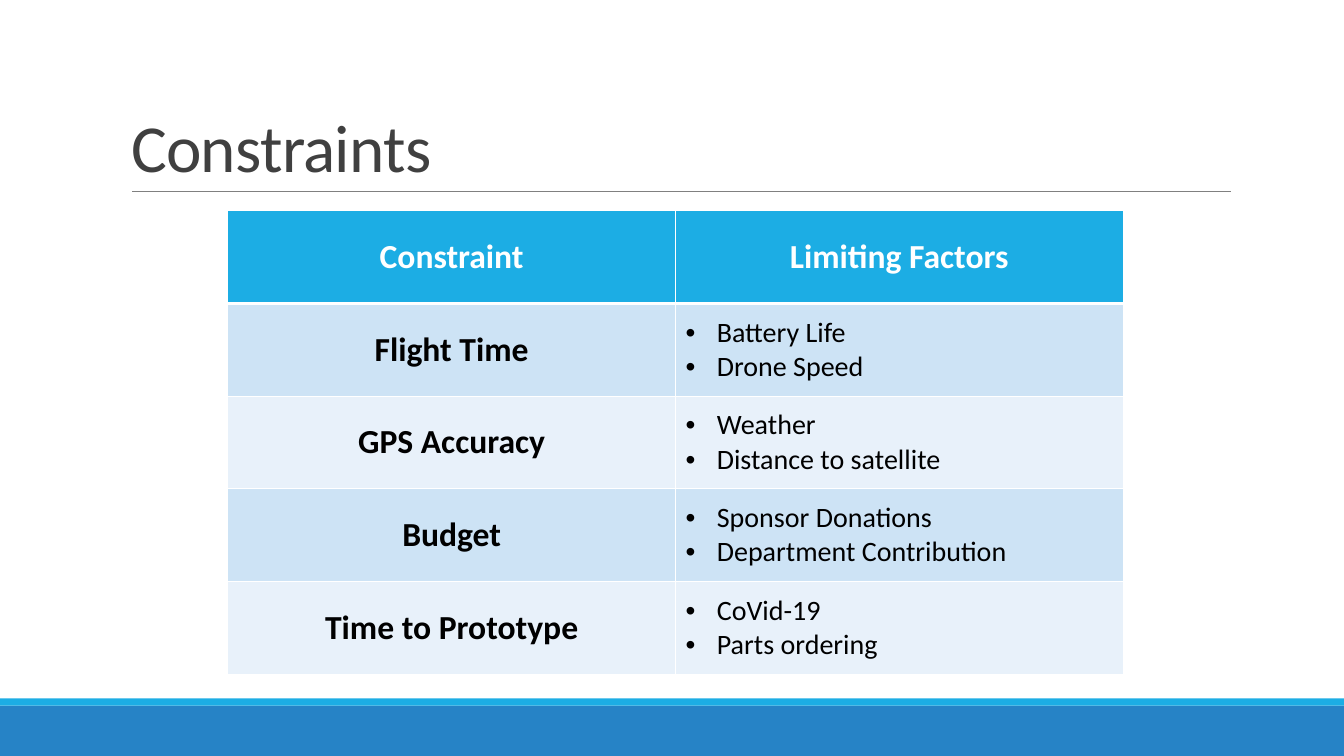
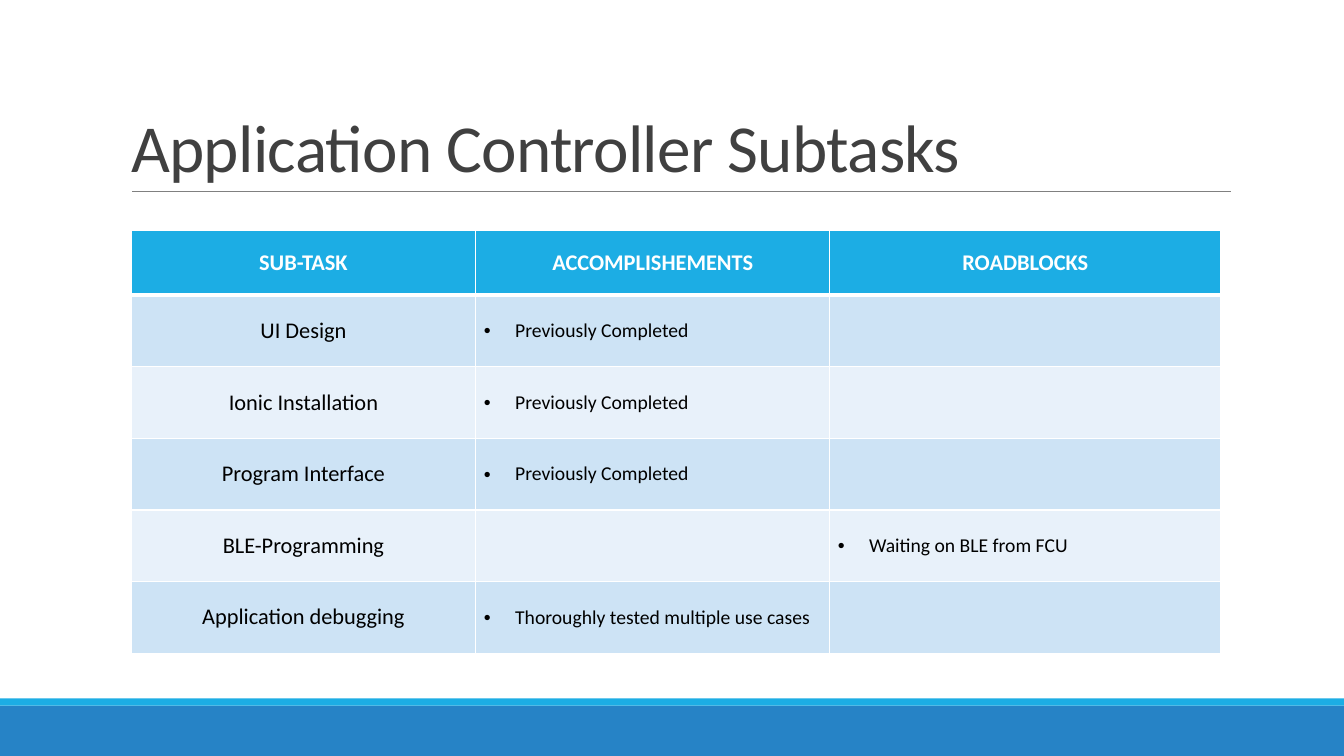
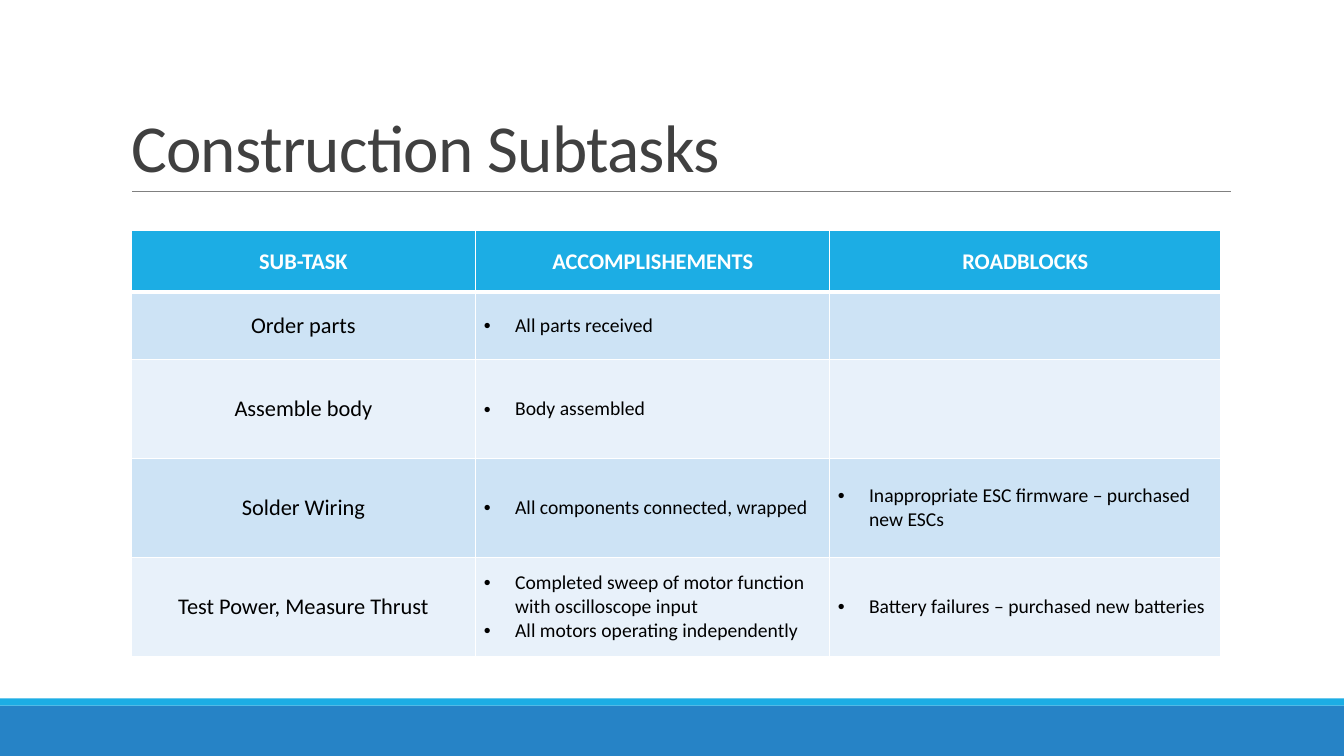
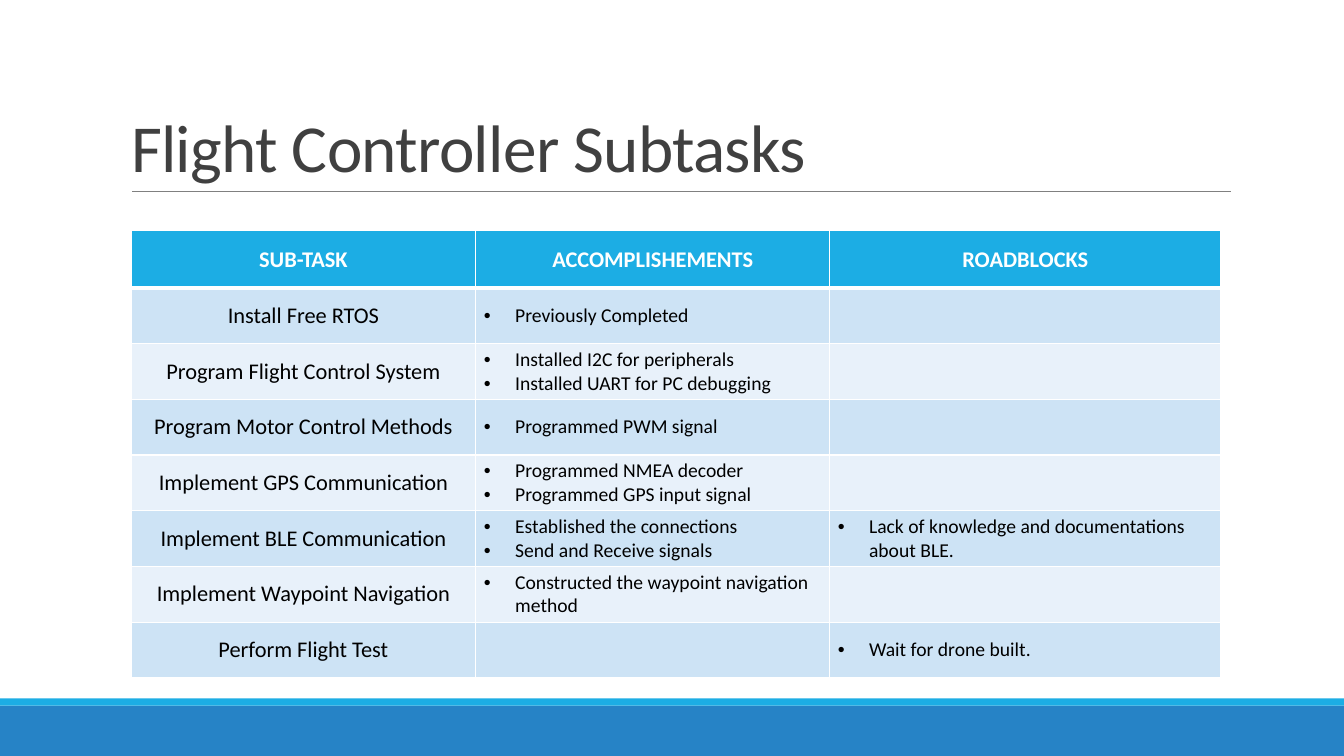
from lxml.etree import SubElement
from pptx import Presentation
from pptx.dml.color import RGBColor
from pptx.enum.shapes import MSO_CONNECTOR, MSO_SHAPE
from pptx.enum.text import MSO_ANCHOR, MSO_AUTO_SIZE, PP_ALIGN
from pptx.oxml.ns import qn
from pptx.util import Inches, Pt

COLORS = {
    "band": "2683C6",
    "accent": "1CADE4",
    "rule": "808080",
    "title": "404040",
    "white": "FFFFFF",
    "black": "000000",
    "odd": "CDE3F5",
    "even": "E8F1FA",
}
FONT = "Calibri"
WIDTH, HEIGHT = 13.33, 7.5
HEADS = ["SUB-TASK", "ACCOMPLISHEMENTS", "ROADBLOCKS"]
DONE = ["Previously Completed"]
WIDE = {"box": (1.3, 2.29), "cols": [3.42, 3.51, 3.88],
        "sizes": (16, 16, 14), "bold": False, "inset": (0.08, 0.04)}
LARGE = {"box": (2.26, 2.09), "cols": [4.44, 4.44],
         "sizes": (24, 24, 20), "bold": True, "inset": (0.1, 0.05)}

SLIDES = [
    ("Constraints", LARGE, [0.92] * 5, [
        ["Constraint", "Limiting Factors"],
        ["Flight Time", ["Battery Life", "Drone Speed"]],
        ["GPS Accuracy", ["Weather", "Distance to satellite"]],
        ["Budget", ["Sponsor Donations", "Department Contribution"]],
        ["Time to Prototype", ["CoVid-19", "Parts ordering"]],
    ]),
    ("Application Controller Subtasks", WIDE, [0.64] + [0.71] * 5, [
        HEADS,
        ["UI Design", DONE, []],
        ["Ionic Installation", DONE, []],
        ["Program Interface", DONE, []],
        ["BLE-Programming", [], ["Waiting on BLE from FCU"]],
        ["Application debugging", ["Thoroughly tested multiple use cases"], []],
    ]),
    ("Construction Subtasks", WIDE, [0.61, 0.67] + [0.98] * 3, [
        HEADS,
        ["Order parts", ["All parts received"], []],
        ["Assemble body", ["Body assembled"], []],
        ["Solder Wiring", ["All components connected, wrapped"],
         ["Inappropriate ESC firmware – purchased new ESCs"]],
        ["Test Power, Measure Thrust",
         ["Completed sweep of motor function with oscilloscope input",
          "All motors operating independently"],
         ["Battery failures – purchased new batteries"]],
    ]),
    ("Flight Controller Subtasks", WIDE, [0.57] + [0.55] * 7, [
        HEADS,
        ["Install Free RTOS", DONE, []],
        ["Program Flight Control System",
         ["Installed I2C for peripherals", "Installed UART for PC debugging"], []],
        ["Program Motor Control Methods", ["Programmed PWM signal"], []],
        ["Implement GPS Communication",
         ["Programmed NMEA decoder", "Programmed GPS input signal"], []],
        ["Implement BLE Communication",
         ["Established the connections", "Send and Receive signals"],
         ["Lack of knowledge and documentations about BLE."]],
        ["Implement Waypoint Navigation",
         ["Constructed the waypoint navigation method"], []],
        ["Perform Flight Test", [], ["Wait for drone built."]],
    ]),
]


def color(name):
    """Return the named colour."""
    return RGBColor.from_string(COLORS[name])


def write(para, text, size, tint, bold=False):
    """Add one styled run to a paragraph."""
    run = para.add_run()
    run.text = text
    run.font.name = FONT
    run.font.size = Pt(size)
    run.font.bold = bold
    run.font.color.rgb = color(tint)
    return run


def draw_band(slide, top, height, tint):
    """Draw a full-width band."""
    band = slide.shapes.add_shape(
        MSO_SHAPE.RECTANGLE, 0, Inches(top), Inches(WIDTH), Inches(height))
    band.shadow.inherit = False
    band.fill.solid()
    band.fill.fore_color.rgb = color(tint)
    band.line.fill.background()


def draw_frame(slide):
    """Draw the bottom bands and the rule under the title."""
    draw_band(slide, 7, 0.5, "band")
    draw_band(slide, 6.93, 0.07, "accent")
    rule = slide.shapes.add_connector(
        MSO_CONNECTOR.STRAIGHT, Inches(1.31), Inches(1.9), Inches(12.21), Inches(1.9))
    rule.line.color.rgb = color("rule")
    rule.line.width = Pt(0.5)
    SubElement(rule.element.spPr, qn("a:effectLst"))


def set_title(slide, text):
    """Place and fill the title placeholder."""
    title = slide.shapes.title
    title.left, title.top = Inches(1.2), Inches(0.31)
    title.width, title.height = Inches(11), Inches(1.59)
    frame = title.text_frame
    frame.word_wrap = True
    frame.auto_size = MSO_AUTO_SIZE.NONE
    frame.vertical_anchor = MSO_ANCHOR.BOTTOM
    para = frame.paragraphs[0]
    para.alignment = PP_ALIGN.LEFT
    para.line_spacing = 0.85
    run = write(para, text, 48, "title")
    run.font._element.set("spc", "-50")


def set_edges(cell, row):
    """Give a cell white borders, thicker under the header."""
    props = cell._tc.get_or_add_tcPr()
    widths = {"L": 1, "R": 1, "T": 3 if row == 1 else 1, "B": 3 if row == 0 else 1}
    for side, width in widths.items():
        line = SubElement(props, qn(f"a:ln{side}"), w=str(Pt(width)))
        fill = SubElement(line, qn("a:solidFill"))
        SubElement(fill, qn("a:srgbClr"), val=COLORS["white"])


def add_bullet(para):
    """Give a paragraph a hanging bullet."""
    props = para._p.get_or_add_pPr()
    props.set("marL", str(Inches(0.31)))
    props.set("indent", str(-Inches(0.31)))
    SubElement(props, qn("a:buFont"), typeface="Arial")
    SubElement(props, qn("a:buChar"), char="•")


def fill_cell(cell, row, value, style):
    """Format one cell and write a label or a bullet list."""
    set_edges(cell, row)
    cell.fill.solid()
    shade = "accent" if row == 0 else "odd" if row % 2 else "even"
    cell.fill.fore_color.rgb = color(shade)
    cell.vertical_anchor = MSO_ANCHOR.MIDDLE
    side, edge = style["inset"]
    cell.margin_left = cell.margin_right = Inches(side)
    cell.margin_top = cell.margin_bottom = Inches(edge)
    head, label, item = style["sizes"]
    frame = cell.text_frame
    para = frame.paragraphs[0]
    if isinstance(value, str):
        para.alignment = PP_ALIGN.CENTER
        if row == 0:
            write(para, value, head, "white", True)
        else:
            write(para, value, label, "black", style["bold"])
        return
    for index, text in enumerate(value):
        para = frame.add_paragraph() if index else para
        add_bullet(para)
        write(para, text, item, "black")


def draw_table(slide, style, heights, rows):
    """Draw a banded table at the place its style gives."""
    left, top = style["box"]
    cols = style["cols"]
    table = slide.shapes.add_table(
        len(rows), len(cols), Inches(left), Inches(top),
        Inches(sum(cols)), Inches(sum(heights))).table
    for col, width in zip(table.columns, cols):
        col.width = Inches(width)
    for row, height in zip(table.rows, heights):
        row.height = Inches(height)
    for r, values in enumerate(rows):
        for c, value in enumerate(values):
            fill_cell(table.cell(r, c), r, value, style)


def main():
    """Build and save the deck."""
    deck = Presentation()
    deck.slide_width, deck.slide_height = Inches(WIDTH), Inches(HEIGHT)
    for title, style, heights, rows in SLIDES:
        slide = deck.slides.add_slide(deck.slide_layouts[5])
        draw_frame(slide)
        set_title(slide, title)
        draw_table(slide, style, heights, rows)
    deck.save("out.pptx")


if __name__ == "__main__":
    main()
